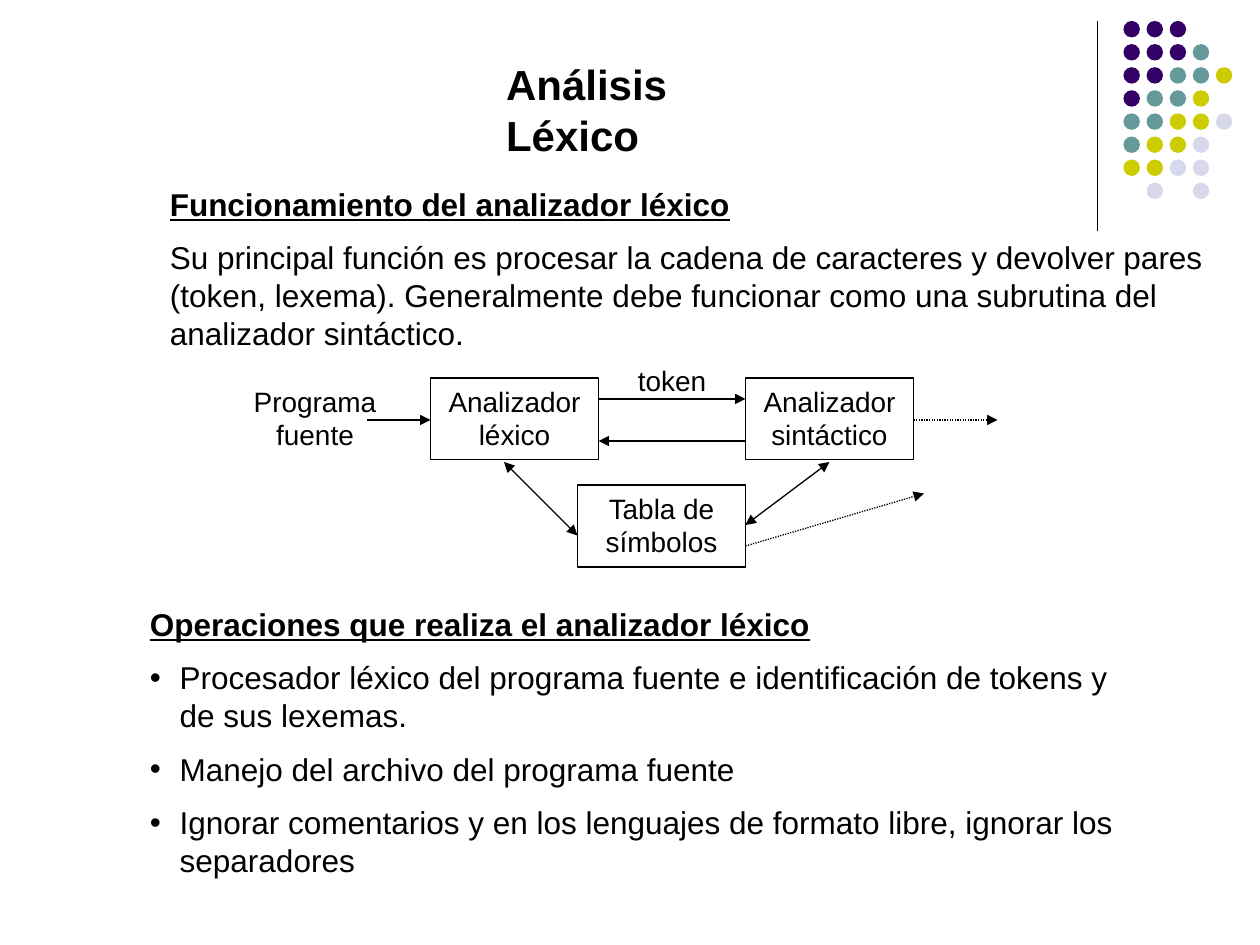
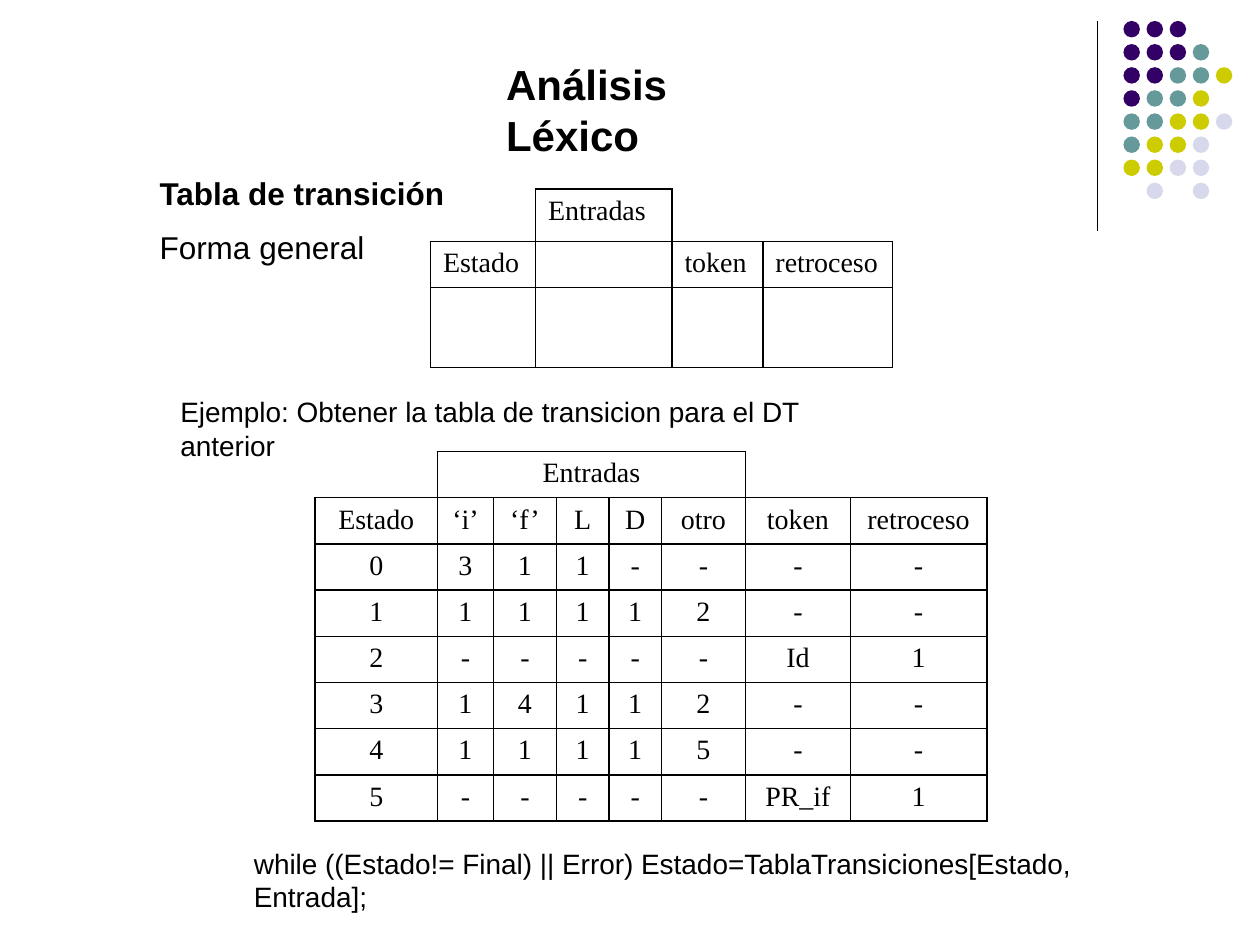
import dataclasses

import pptx
import pptx.dml.color
import pptx.enum.dml
import pptx.enum.shapes
import pptx.enum.text
import pptx.oxml
import pptx.oxml.ns
import pptx.util

Pt = pptx.util.Pt
qn = pptx.oxml.ns.qn
SHAPES = pptx.enum.shapes.MSO_SHAPE
LEFT = pptx.enum.text.PP_ALIGN.LEFT
CENTER = pptx.enum.text.PP_ALIGN.CENTER


@dataclasses.dataclass(frozen=True)
class Theme:
    ink: str = "000000"
    purple: str = "330066"
    teal: str = "669999"
    lime: str = "CCCC00"
    lilac: str = "D8D8EC"
    sans: str = "Arial"
    serif: str = "Times New Roman"
    title: int = 24
    body: int = 18
    label: int = 16
    line: float = 0.75
    border: float = 1


THEME = Theme()
NO_GRID_STYLE = "{2D5ABB26-0587-4C30-8999-92F81FD0307C}"


@dataclasses.dataclass(frozen=True)
class Entry:
    text: str
    bold: bool = False
    underline: bool = False
    bullet: bool = False


def rgb(colour):
    return pptx.dml.color.RGBColor.from_string(colour)


def points(*lengths):
    return [Pt(length) for length in lengths]


def drawing_xml(tag, **attributes):
    element = pptx.oxml.parse_xml(f"<a:{tag} {pptx.oxml.ns.nsdecls('a')}/>")
    for key, value in attributes.items():
        element.set(key, value)
    return element


# Text
def set_bullet(paragraph, bullet):
    properties = paragraph.font and paragraph._p.get_or_add_pPr()
    indent = Pt(17) if bullet else 0
    properties.set("marL", str(indent))
    properties.set("indent", str(-indent))
    mark = drawing_xml("buChar", char="•") if bullet else drawing_xml("buNone")
    properties.find(qn("a:defRPr")).addprevious(mark)


def write(frame, entries, size, align=LEFT, face=THEME.sans):
    """Fill a text frame; paragraphs after the first get half a line above."""
    for index, entry in enumerate(entries):
        paragraph = frame.paragraphs[0] if index == 0 else frame.add_paragraph()
        paragraph.text = entry.text
        paragraph.alignment = align
        paragraph.space_before = Pt(size / 2 if index else 0)
        font = paragraph.font
        font.name, font.size = face, Pt(size)
        font.bold, font.underline = entry.bold, entry.underline
        font.color.rgb = rgb(THEME.ink)
        set_bullet(paragraph, entry.bullet)


def prepare_frame(shape):
    frame = shape.text_frame
    frame.word_wrap = True
    frame.auto_size = pptx.enum.text.MSO_AUTO_SIZE.NONE
    frame.vertical_anchor = pptx.enum.text.MSO_ANCHOR.TOP
    return frame


def fill_placeholder(placeholder, box, entries, size):
    (placeholder.left, placeholder.top,
     placeholder.width, placeholder.height) = points(*box)
    write(prepare_frame(placeholder), entries, size)


def add_text(slide, box, entries, size=THEME.label, align=LEFT):
    textbox = slide.shapes.add_textbox(*points(*box))
    write(prepare_frame(textbox), entries, size, align)


# Diagram
def add_stage(slide, left, top, name):
    stage = slide.shapes.add_shape(SHAPES.RECTANGLE, *points(left, top, 96, 46.8))
    stage.shadow.inherit = False
    stage.fill.background()
    stage.line.color.rgb = rgb(THEME.ink)
    stage.line.width = Pt(THEME.line)
    write(prepare_frame(stage), [Entry(name)], THEME.label, CENTER)


def add_line(slide, start, end, ends=(), dotted=False):
    connector = slide.shapes.add_connector(
        pptx.enum.shapes.MSO_CONNECTOR.STRAIGHT, *points(*start, *end))
    connector.line.color.rgb = rgb(THEME.ink)
    connector.line.width = Pt(THEME.line)
    if dotted:
        connector.line.dash_style = pptx.enum.dml.MSO_LINE.ROUND_DOT
    properties = connector.element.find(qn("p:spPr"))
    for end_tag in ends:
        properties.find(qn("a:ln")).append(drawing_xml(end_tag, type="triangle"))
    properties.append(drawing_xml("effectLst"))
    return connector


# Tables
def set_borders(cell, sides):
    properties = cell._tc.get_or_add_tcPr()
    for side in sides:
        border = drawing_xml(f"ln{side}", w=str(Pt(THEME.border)))
        fill = drawing_xml("solidFill")
        fill.append(drawing_xml("srgbClr", val=THEME.ink))
        border.append(fill)
        properties.append(border)
    cell.fill.background()


def add_grid(slide, left, top, widths, heights, rows, align=LEFT, corners=None):
    """Add a ruled table; corners gives the sides of cells not fully ruled."""
    corners = corners or {}
    frame = slide.shapes.add_table(len(heights), len(widths),
                                   *points(left, top, sum(widths), sum(heights)))
    frame.element.find(".//" + qn("a:tableStyleId")).text = NO_GRID_STYLE
    table = frame.table
    table.first_row = table.horz_banding = False
    for column, width in zip(table.columns, widths):
        column.width = Pt(width)
    for row, height in zip(table.rows, heights):
        row.height = Pt(height)
    for r, texts in enumerate(rows):
        for c, text in enumerate(texts):
            cell = table.cell(r, c)
            write(cell.text_frame, [Entry(text)], THEME.label, align, THEME.serif)
            set_borders(cell, corners.get((r, c), "LRTB"))
    return table


# Shared parts
def add_titled_slide(deck):
    slide = deck.slides.add_slide(deck.slide_layouts[1])
    fill_placeholder(slide.shapes.title, (282, 30, 170, 36),
                     [Entry("Análisis Léxico", bold=True)], THEME.title)
    return slide


def decorate_master(deck, slide):
    """Draw the rule and the dots, then move them to the master."""
    rule = add_line(slide, (627, 12), (627, 132))
    dots = slide.shapes.add_group_shape()
    colours = {"P": THEME.purple, "T": THEME.teal, "Y": THEME.lime, "L": THEME.lilac}
    pattern = ("PPP", "PPPT", "PPTTY", "PTTY", "TTYYL", "TYYL", "YYLL", ".L.L")
    pitch, diameter = 13.2, 9.4
    for row, letters in enumerate(pattern):
        for column, letter in enumerate(letters):
            if letter not in colours:
                continue
            dot = dots.shapes.add_shape(SHAPES.OVAL, *points(
                642 + column * pitch, 12 + row * pitch, diameter, diameter))
            dot.shadow.inherit = False
            dot.fill.solid()
            dot.fill.fore_color.rgb = rgb(colours[letter])
            dot.line.fill.background()
    for part in (rule, dots):
        deck.slide_master.shapes.element.append(part.element)


# Slides
def build_operation_slide(deck):
    slide = add_titled_slide(deck)
    add_text(slide, (90, 102, 612, 105), [
        Entry("Funcionamiento del analizador léxico", bold=True, underline=True),
        Entry("Su principal función es procesar la cadena de caracteres y devolver "
              "pares (token, lexema). Generalmente debe funcionar como una subrutina "
              "del analizador sintáctico."),
    ], THEME.body)

    # Lexer, parser and symbol table
    add_stage(slide, 426, 216, "Analizador sintáctico")
    add_stage(slide, 246, 216, "Analizador léxico")
    add_stage(slide, 330, 277.2, "Tabla de símbolos")
    add_text(slide, (132, 216, 96, 46), [Entry("Programa fuente")], align=CENTER)
    add_text(slide, (336, 204, 96, 27), [Entry("token")], align=CENTER)
    forward, both = ("tailEnd",), ("headEnd", "tailEnd")
    for start, end, ends, dotted in (
        ((342, 228), (426, 228), forward, False),
        ((426, 252), (342, 252), forward, False),
        ((288, 264), (330, 306), both, False),
        ((426, 300), (474, 264), both, False),
        ((210, 240), (246, 240), forward, False),
        ((522, 240), (570, 240), forward, True),
        ((426, 312), (528, 282), forward, True),
    ):
        add_line(slide, start, end, ends, dotted)

    fill_placeholder(slide.placeholders[1], (78.5, 342, 582, 170), [
        Entry("Operaciones que realiza el analizador léxico", bold=True, underline=True),
        Entry("Procesador léxico del programa fuente e identificación de tokens y "
              "de sus lexemas.", bullet=True),
        Entry("Manejo del archivo del programa fuente", bullet=True),
        Entry("Ignorar comentarios y en los lenguajes de formato libre, ignorar los "
              "separadores", bullet=True),
    ], THEME.body)
    return slide


def build_transition_slide(deck):
    slide = add_titled_slide(deck)
    fill_placeholder(slide.placeholders[1], (84, 96, 618, 61), [
        Entry("Tabla de transición", bold=True),
        Entry("Forma general"),
    ], THEME.body)
    row_height = 26.4

    # General form
    add_grid(slide, 246, 138, (60, 78, 52, 74), (row_height, 45.6),
             [("Estado", "", "token", "retroceso"), ("",) * 4])
    add_grid(slide, 306, 108, (78,), (30,), [("Entradas",)])

    # Worked example
    add_text(slide, (96, 222, 408, 27),
             [Entry("Ejemplo: Obtener la tabla de transicion para el DT anterior")])
    rows = [
        ("", "Entradas", "", "", "", "", "", ""),
        ("Estado", "‘i’", "‘f’", "L", "D", "otro", "token", "retroceso"),
        ("0", "3", "1", "1", "-", "-", "-", "-"),
        ("1", "1", "1", "1", "1", "2", "-", "-"),
        ("2", "-", "-", "-", "-", "-", "Id", "1"),
        ("3", "1", "4", "1", "1", "2", "-", "-"),
        ("4", "1", "1", "1", "1", "5", "-", "-"),
        ("5", "-", "-", "-", "-", "-", "PR_if", "1"),
    ]
    transitions = add_grid(
        slide, 180, 258, (70, 32, 36, 30, 30, 48, 60, 78),
        [row_height] * len(rows), rows, CENTER,
        corners={(0, 0): "RB", (0, 6): "LB", (0, 7): "B"})
    transitions.cell(0, 1).merge(transitions.cell(0, 5))
    transitions.cell(0, 6).merge(transitions.cell(0, 7))

    add_text(slide, (138, 480, 511, 27), [Entry(
        "while ((Estado!= Final) || Error) Estado=TablaTransiciones[Estado, Entrada];")])


def main():
    deck = pptx.Presentation()
    deck.slide_width, deck.slide_height = points(720, 540)
    operation = build_operation_slide(deck)
    build_transition_slide(deck)
    decorate_master(deck, operation)
    deck.save("out.pptx")


if __name__ == "__main__":
    main()
